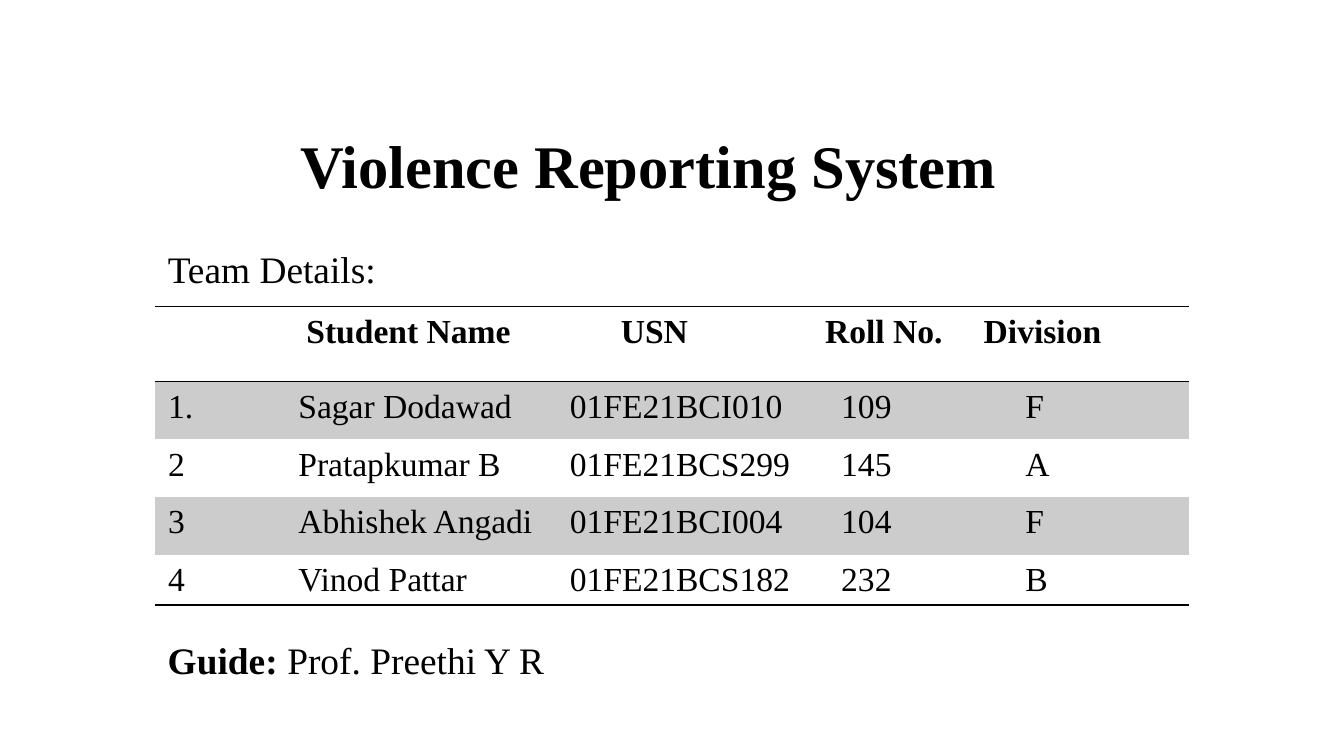
from lxml import etree
from pptx import Presentation
from pptx.dml.color import RGBColor
from pptx.enum.text import MSO_ANCHOR, PP_ALIGN
from pptx.oxml.ns import qn
from pptx.util import Inches, Pt

BLACK = RGBColor(0x00, 0x00, 0x00)
BAND_GREY = RGBColor(0xCC, 0xCC, 0xCC)
FONT_NAME = "Times New Roman"
MIDDLE = MSO_ANCHOR.MIDDLE
CENTER, LEFT = PP_ALIGN.CENTER, PP_ALIGN.LEFT
PLAIN_TABLE_STYLE = "{2D5ABB26-0587-4C30-8999-92F81FD0307C}"

COLUMN_WIDTHS = (0.97, 2.02, 1.9, 1.18, 1.63)
ROW_HEIGHTS = (0.56, 0.43, 0.43, 0.43, 0.37)
HEADER_INDENTS = (0, 0.06, 0.38, 0, 0)
BODY_INDENTS = (0, 0, 0, 0.12, 0.31)
TEAM = (
    ("", "Student Name", "USN", "Roll No.", "Division"),
    ("1.", "Sagar Dodawad", "01FE21BCI010", "109", "F"),
    ("2", "Pratapkumar B", "01FE21BCS299", "145", "A"),
    ("3", "Abhishek Angadi", "01FE21BCI004", "104", "F"),
    ("4", "Vinod Pattar", "01FE21BCS182", "232", "B"),
)
ROW_EDGES = {0: ("lnT", "lnB"), len(TEAM) - 1: ("lnB",)}


def set_attributes(target, values):
    """Set each named value on the target."""
    for name, value in values.items():
        setattr(target, name, value)


def add_run(paragraph, text, size, bold=False):
    """Add a black run to the paragraph."""
    run = paragraph.add_run()
    run.text = text
    set_attributes(run.font, {"name": FONT_NAME, "size": Pt(size), "bold": bold})
    run.font.color.rgb = BLACK


def add_text(slide, box, runs, size, alignment=LEFT, frame_format=None):
    """Place one paragraph of (text, bold) runs in the box."""
    shape = slide.shapes.add_textbox(*map(Inches, box))
    set_attributes(shape.text_frame, {"word_wrap": True, **(frame_format or {})})
    paragraph = shape.text_frame.paragraphs[0]
    paragraph.alignment = alignment
    for text, bold in runs:
        add_run(paragraph, text, size, bold)


def add_border(cell, edge):
    """Draw a one-point black line on the given cell edge."""
    line = etree.SubElement(cell._tc.get_or_add_tcPr(), qn(f"a:{edge}"), w=str(Pt(1)))
    fill = etree.SubElement(line, qn("a:solidFill"))
    etree.SubElement(fill, qn("a:srgbClr"), val=str(BLACK))


def fill_cell(cell, text, row_index, indent):
    """Write and format one cell of the team table."""
    for edge in ROW_EDGES.get(row_index, ()):
        add_border(cell, edge)
    if row_index % 2:
        cell.fill.solid()
        cell.fill.fore_color.rgb = BAND_GREY
    else:
        cell.fill.background()
    margins = {"margin_left": Inches(0.1 + indent), "margin_bottom": Inches(0.02)}
    set_attributes(cell, margins)
    if text:
        add_run(cell.text_frame.paragraphs[0], text, 18, row_index == 0)


def add_team_table(slide, box):
    """Place the table of team members in the box."""
    table = slide.shapes.add_table(
        len(TEAM), len(COLUMN_WIDTHS), *map(Inches, box)
    ).table
    set_attributes(table, {"first_row": False, "horz_banding": False})
    table._tbl.tblPr.find(qn("a:tableStyleId")).text = PLAIN_TABLE_STYLE
    for column, width in zip(table.columns, COLUMN_WIDTHS):
        column.width = Inches(width)
    for row_index, (row, height) in enumerate(zip(table.rows, ROW_HEIGHTS)):
        row.height = Inches(height)
        indents = BODY_INDENTS if row_index else HEADER_INDENTS
        for cell, text, indent in zip(row.cells, TEAM[row_index], indents):
            fill_cell(cell, text, row_index, indent)


def add_title(slide, box):
    """Place the project title in the box."""
    frame_format = {
        "vertical_anchor": MIDDLE,
        "margin_top": Inches(0.25),
        "margin_right": Inches(0.22),
    }
    add_text(slide, box, [("Violence Reporting System", True)], 32.4, CENTER, frame_format)


def add_team_section(slide, box):
    """Place the team label, table and guide line in the box."""
    left, top, width, height = box
    guide = [("Guide: ", True), ("Prof. Preethi Y R", False)]
    add_text(slide, (left, top + height - 0.5, 3.04, 0.5), guide, 20)
    add_team_table(slide, (left, top + 0.5, width, sum(ROW_HEIGHTS)))
    add_text(slide, (left, top, 2.05, 0.44), [("Team Details:", False)], 20)


def main():
    """Build and save the presentation."""
    presentation = Presentation()
    width = Inches(10)
    set_attributes(
        presentation, {"slide_width": width, "slide_height": width * 9 // 16}
    )
    slide = presentation.slides.add_slide(presentation.slide_layouts[6])
    add_title(slide, (1.54, 0.68, 6.69, 0.89))
    add_team_section(slide, (1.15, 1.78, 7.7, 3.41))
    presentation.save("out.pptx")


if __name__ == "__main__":
    main()
